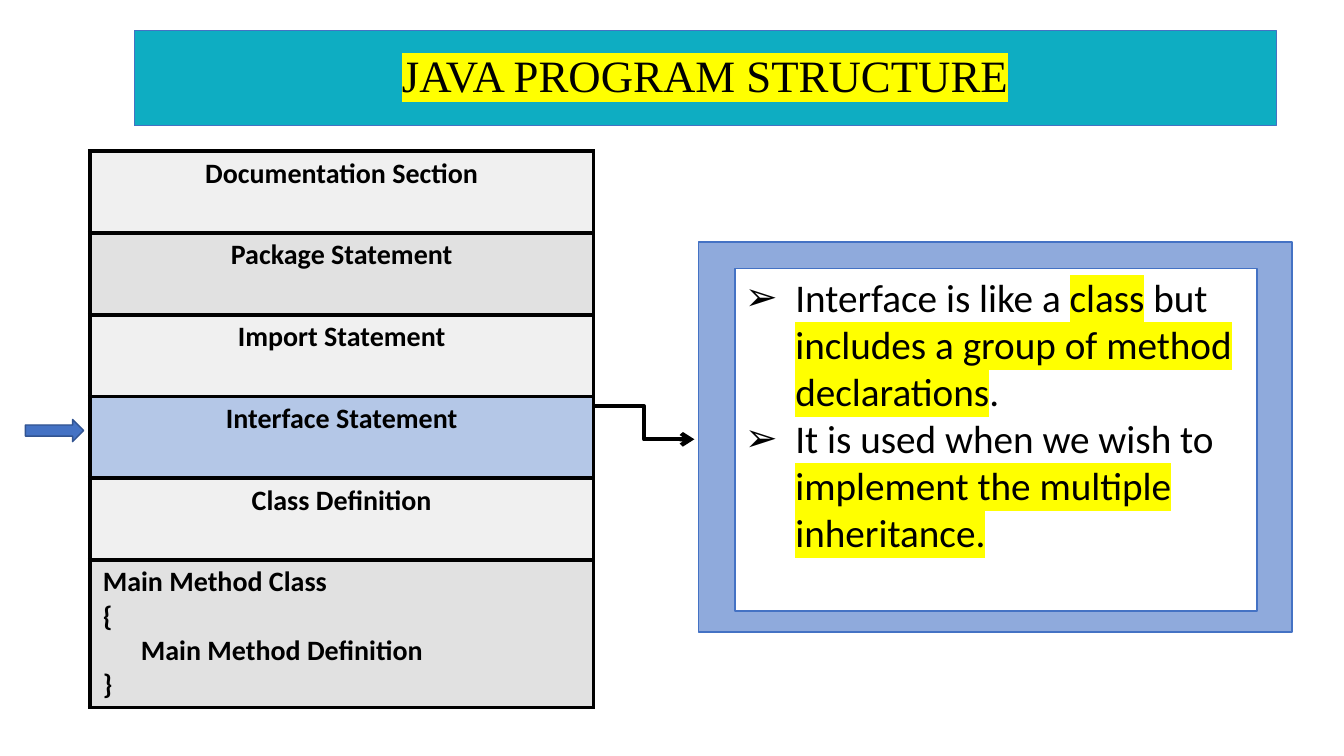
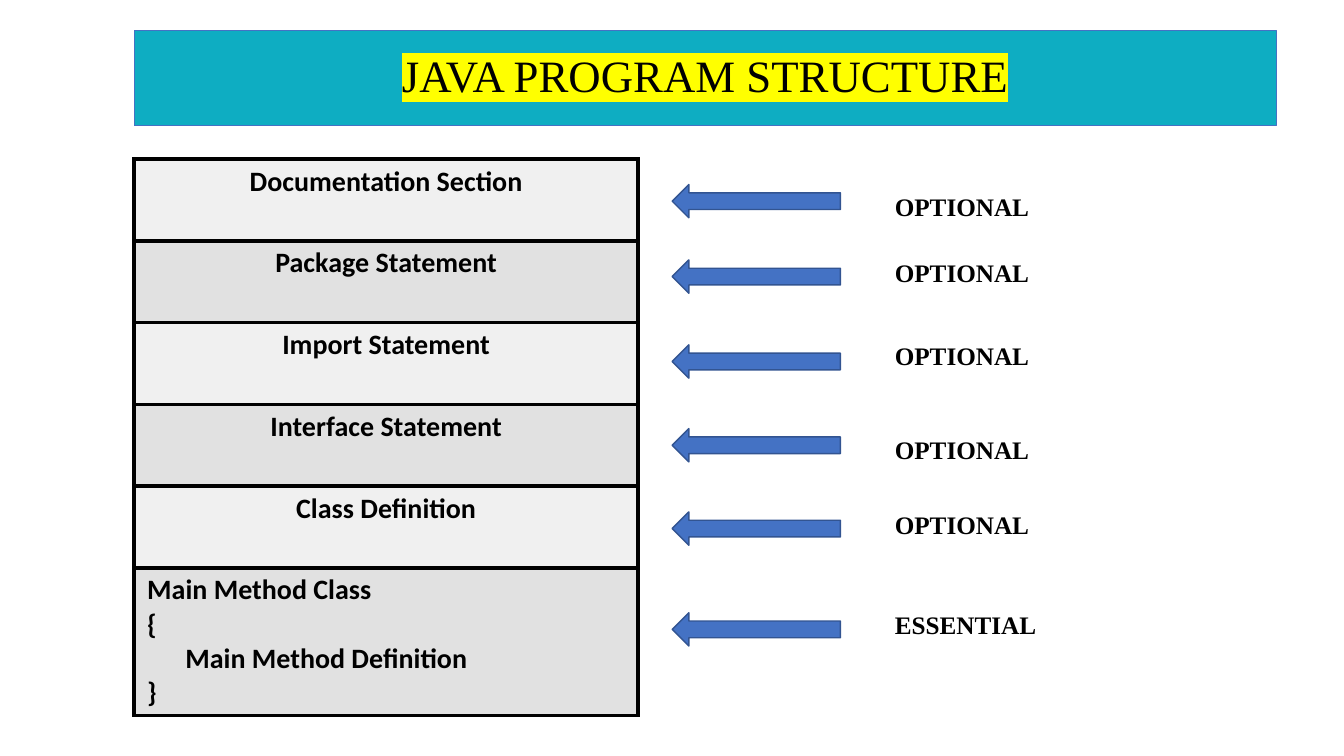
from lxml.etree import SubElement
from pptx import Presentation
from pptx.dml.color import RGBColor
from pptx.enum.shapes import MSO_CONNECTOR as Link, MSO_SHAPE as Shape
from pptx.enum.text import MSO_ANCHOR as Anchor, MSO_AUTO_SIZE as AutoSize, PP_ALIGN as Align
from pptx.oxml.ns import qn
from pptx.util import Cm, Pt

COLORS = {
    "black": "000000",
    "white": "FFFFFF",
    "banner": "0EADC2",
    "marker": "FFFF00",
    "light_row": "F0F0F0",
    "dark_row": "E1E1E1",
    "active_row": "B4C7E7",
    "frame": "8FAADC",
    "accent": "4472C4",
    "arrow_edge": "325491",
}
SANS, SERIF = "Calibri", "Times New Roman"
TITLE_ONLY, TITLE_AND_BODY = 5, 1

SECTIONS = [
    "Documentation Section",
    "Package Statement",
    "Import Statement",
    "Interface Statement",
    "Class Definition",
    "Main Method Class\n{\nMain Method Definition\n}",
]
INTERFACE_POINTS = [
    [("Interface is like a ", False), ("class", True), (" but ", False),
     ("includes a group of method declarations", True), (".", False)],
    [("It is used when we wish to ", False),
     ("implement the multiple inheritance.", True)],
]
REQUIREMENTS = [
    ("OPTIONAL", 4.65, 4.7),
    ("OPTIONAL", 6.55, 6.35),
    ("OPTIONAL", 8.69, 8.46),
    ("OPTIONAL", 10.8, 10.82),
    ("OPTIONAL", 12.9, 12.7),
    ("ESSENTIAL", 15.44, 15.24),
]


def rgb(name):
    return RGBColor.from_string(COLORS[name])


class Deck:
    def __init__(self):
        self.prs = Presentation()
        self.prs.slide_width, self.prs.slide_height = Cm(33.87), Cm(19.05)
        self.slide = None

    def add_slide(self, layout, title):
        self.slide = self.prs.slides.add_slide(self.prs.slide_layouts[layout])
        banner = self.slide.shapes.title
        self.place(banner, 3.38, 0.76, 28.78, 2.41)
        self.paint(banner, "banner", "accent", 0.5)
        frame = banner.text_frame
        frame.text = title
        frame.vertical_anchor = Anchor.MIDDLE
        heading = frame.paragraphs[0]
        heading.alignment = Align.CENTER
        heading.line_spacing = 0.9
        self.style(heading.runs[0], 32, SERIF, marked=True)

    def place(self, shape, x, y, w, h):
        shape.left, shape.top = Cm(x), Cm(y)
        shape.width, shape.height = Cm(w), Cm(h)

    def paint(self, shape, fill, edge, weight=1):
        shape.fill.solid()
        shape.fill.fore_color.rgb = rgb(fill)
        shape.line.color.rgb = rgb(edge)
        shape.line.width = Pt(weight)

    def style(self, run, size, font, bold=False, marked=False):
        run.font.size, run.font.name, run.font.bold = Pt(size), font, bold
        run.font.color.rgb = rgb("black")
        if marked:
            props = run.font._element
            highlight = SubElement(props, qn("a:highlight"))
            SubElement(highlight, qn("a:srgbClr"), val=COLORS["marker"])
            props.find(qn("a:latin")).addprevious(highlight)

    def block(self, kind, x, y, w, h, fill, edge):
        shape = self.slide.shapes.add_shape(kind, Cm(x), Cm(y), Cm(w), Cm(h))
        shape.shadow.inherit = False
        self.paint(shape, fill, edge)
        return shape

    def arrow(self, kind, x, y, w, h):
        self.block(kind, x, y, w, h, "accent", "arrow_edge")

    def label(self, text, x, y):
        box = self.slide.shapes.add_textbox(Cm(x), Cm(y), Cm(7.06), Cm(1.02))
        box.text_frame.word_wrap = True
        box.text_frame.text = text
        self.style(box.text_frame.paragraphs[0].runs[0], 18, SERIF, bold=True)

    def structure(self, x, y, active=None):
        last = len(SECTIONS) - 1
        grid = self.slide.shapes.add_table(
            len(SECTIONS), 1, Cm(x), Cm(y), Cm(12.7), Cm(13.93)).table
        for index, section in enumerate(SECTIONS):
            grid.rows[index].height = Cm(3.63 if index == last else 2.06)
            cell = grid.cell(index, 0)
            cell.text_frame.text = section
            cell.margin_left = cell.margin_right = Cm(0.33)
            cell.margin_top = cell.margin_bottom = Cm(0.13)
            cell.fill.solid()
            shade = "dark_row" if index % 2 else "light_row"
            cell.fill.fore_color.rgb = rgb("active_row" if index == active else shade)
            self.border(cell)
            for line in cell.text_frame.paragraphs:
                line.alignment = Align.LEFT if index == last else Align.CENTER
                self.style(line.runs[0], 20, SANS, bold=True)
        method_line = grid.cell(last, 0).text_frame.paragraphs[2]
        method_line._p.get_or_add_pPr().set("marL", str(Cm(0.96)))

    def border(self, cell):
        props = cell._tc.get_or_add_tcPr()
        for position, side in enumerate(("lnL", "lnR", "lnT", "lnB")):
            edge = SubElement(props, qn(f"a:{side}"), w=str(Pt(3)))
            fill = SubElement(edge, qn("a:solidFill"))
            SubElement(fill, qn("a:srgbClr"), val=COLORS["black"])
            props.insert(position, edge)

    def framed_list(self, points):
        body = self.slide.placeholders[1]
        frame = self.block(Shape.RECTANGLE, 17.6, 6.1, 14.96, 9.83, "frame", "accent")
        body._element.addprevious(frame._element)
        self.place(body, 18.52, 6.76, 13.16, 8.64)
        self.paint(body, "white", "accent")
        text = body.text_frame
        text.auto_size = AutoSize.NONE
        text.vertical_anchor = Anchor.TOP
        for index, point in enumerate(points):
            item = text.add_paragraph() if index else text.paragraphs[0]
            item.space_before = Pt(0)
            props = item._p.get_or_add_pPr()
            props.set("marL", str(Cm(1.27)))
            props.set("indent", str(-Cm(1.27)))
            SubElement(props, qn("a:buChar"), char="➢")
            for words, marked in point:
                run = item.add_run()
                run.text = words
                self.style(run, 28, SANS, marked=marked)

    def elbow(self, x1, y1, x2, y2):
        link = self.slide.shapes.add_connector(
            Link.ELBOW, Cm(x1), Cm(y1), Cm(x2), Cm(y2))
        link.line.color.rgb = rgb("black")
        link.line.width = Pt(3)
        SubElement(link.line._get_or_add_ln(), qn("a:tailEnd"), type="arrow")
        SubElement(link._element.spPr, qn("a:effectLst"))


def main():
    deck = Deck()
    title = "JAVA PROGRAM STRUCTURE"

    deck.add_slide(TITLE_AND_BODY, title)
    deck.structure(2.26, 3.81, active=SECTIONS.index("Interface Statement"))
    deck.framed_list(INTERFACE_POINTS)
    deck.elbow(14.96, 10.24, 17.5, 11.07)
    deck.arrow(Shape.RIGHT_ARROW, 0.64, 10.57, 1.47, 0.56)

    deck.add_slide(TITLE_ONLY, title)
    deck.structure(3.38, 4.01)
    for requirement, arrow_y, label_y in REQUIREMENTS:
        deck.arrow(Shape.LEFT_ARROW, 16.94, arrow_y, 4.24, 0.84)
        deck.label(requirement, 22.3, label_y)

    deck.prs.save("out.pptx")


if __name__ == "__main__":
    main()
